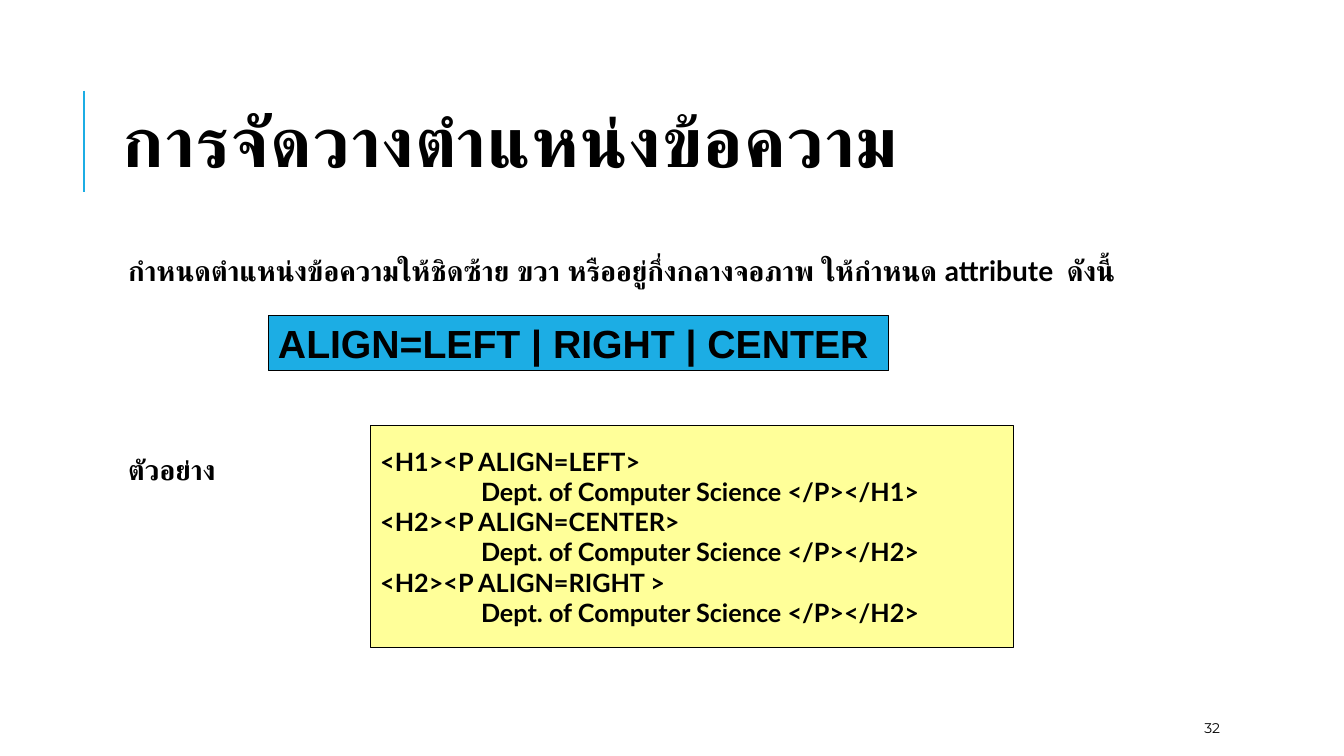
from lxml import etree
from pptx import Presentation
from pptx.dml.color import RGBColor
from pptx.enum.shapes import MSO_CONNECTOR, MSO_SHAPE
from pptx.enum.text import MSO_ANCHOR, PP_ALIGN
from pptx.oxml.ns import qn
from pptx.util import Pt

TOP, MID = MSO_ANCHOR.TOP, MSO_ANCHOR.MIDDLE
LEFT = PP_ALIGN.LEFT
RECT = MSO_SHAPE.RECTANGLE
LINE = MSO_CONNECTOR.STRAIGHT
BLACK, BLUE, YELLOW = "000000", "1CADE4", "FFFF99"
TAB = Pt(72)

TITLE = "การจัดวางตำแหน่งข้อความ"
INTRO = ("กำหนดตำแหน่งข้อความให้ชิดซ้าย ขวา หรืออยู่กึ่งกลางจอภาพ "
         "ให้กำหนด attribute  ดังนี้")
SYNTAX = "ALIGN=LEFT | RIGHT | CENTER"
SAMPLE = [
    "<H1><P ALIGN=LEFT>",
    "\tDept. of Computer Science </P></H1>",
    "<H2><P ALIGN=CENTER>",
    "\tDept. of Computer Science </P></H2>",
    "<H2><P ALIGN=RIGHT >",
    "\tDept. of Computer Science </P></H2>",
]


def color(code):
    return RGBColor.from_string(code)


def add_tab(para):
    stops = etree.SubElement(para._p.get_or_add_pPr(), qn("a:tabLst"))
    etree.SubElement(stops, qn("a:tab"), pos=str(int(TAB)), algn="l")


def write(shape, lines, font, size, bold=True, anchor=MID, space=1.0, track=0):
    """Fill a shape with one paragraph per line; track is letter spacing."""
    frame = shape.text_frame
    frame.word_wrap = True
    frame.vertical_anchor = anchor
    style = {"name": font, "size": Pt(size), "bold": bold}
    for i, line in enumerate(lines):
        para = frame.paragraphs[0] if i == 0 else frame.add_paragraph()
        para.alignment = LEFT
        para.line_spacing = space
        if line.startswith("\t"):
            add_tab(para)
        run = para.add_run()
        run.text = line
        for key, value in style.items():
            setattr(run.font, key, value)
        run.font.color.rgb = color(BLACK)
        if track:
            run.font._element.set("spc", str(track * 100))


def label(slide, box, text, font, size, **style):
    shape = slide.shapes.add_textbox(*map(Pt, box))
    write(shape, [text], font, size, **style)


def panel(slide, box, fill, lines, font, size):
    shape = slide.shapes.add_shape(RECT, *map(Pt, box))
    shape.shadow.inherit = False
    shape.fill.solid()
    shape.fill.fore_color.rgb = color(fill)
    shape.line.color.rgb = color(BLACK)
    shape.line.width = Pt(0.75)
    write(shape, lines, font, size)


def header(slide, box):
    """Title with an upright accent rule to its left."""
    left, top, width, height = box
    x = left - 20.6
    rule = slide.shapes.add_connector(
        LINE, Pt(x), Pt(top + 18.8), Pt(x), Pt(top + 90.8))
    rule.line.color.rgb = color(BLUE)
    rule.line.width = Pt(1.5)
    etree.SubElement(rule._element.spPr, qn("a:effectLst"))
    label(slide, box, TITLE, "Arial", 50, space=0.8, track=1)


def body(slide, box):
    """Intro and syntax bar, then the example with its code panel."""
    left, top, width, height = box
    note = {"font": "Lato", "size": 20, "anchor": TOP, "space": 0.9}
    label(slide, (left, top, width, 30), INTRO, **note)
    panel(slide, (left + 107, top + 45.4, 443.5, 39.6),
          BLUE, [SYNTAX], "Arial", 28)
    label(slide, (left, top + 142.6, 120, 30), "ตัวอย่าง", **note)
    panel(slide, (left + 180, top + 124.2, 459.4, 158.4),
          YELLOW, SAMPLE, "Lato", 18)


def main():
    deck = Presentation()
    deck.slide_width, deck.slide_height = Pt(960), Pt(540)
    slide = deck.slides.add_slide(deck.slide_layouts[6])
    header(slide, (80.6, 46, 765.4, 118))
    body(slide, (84.5, 180, 762, 317))
    label(slide, (853.2, 509.4, 76.3, 21.6), "32", "Montserrat", 10, bold=False)
    deck.save("out.pptx")


if __name__ == "__main__":
    main()
